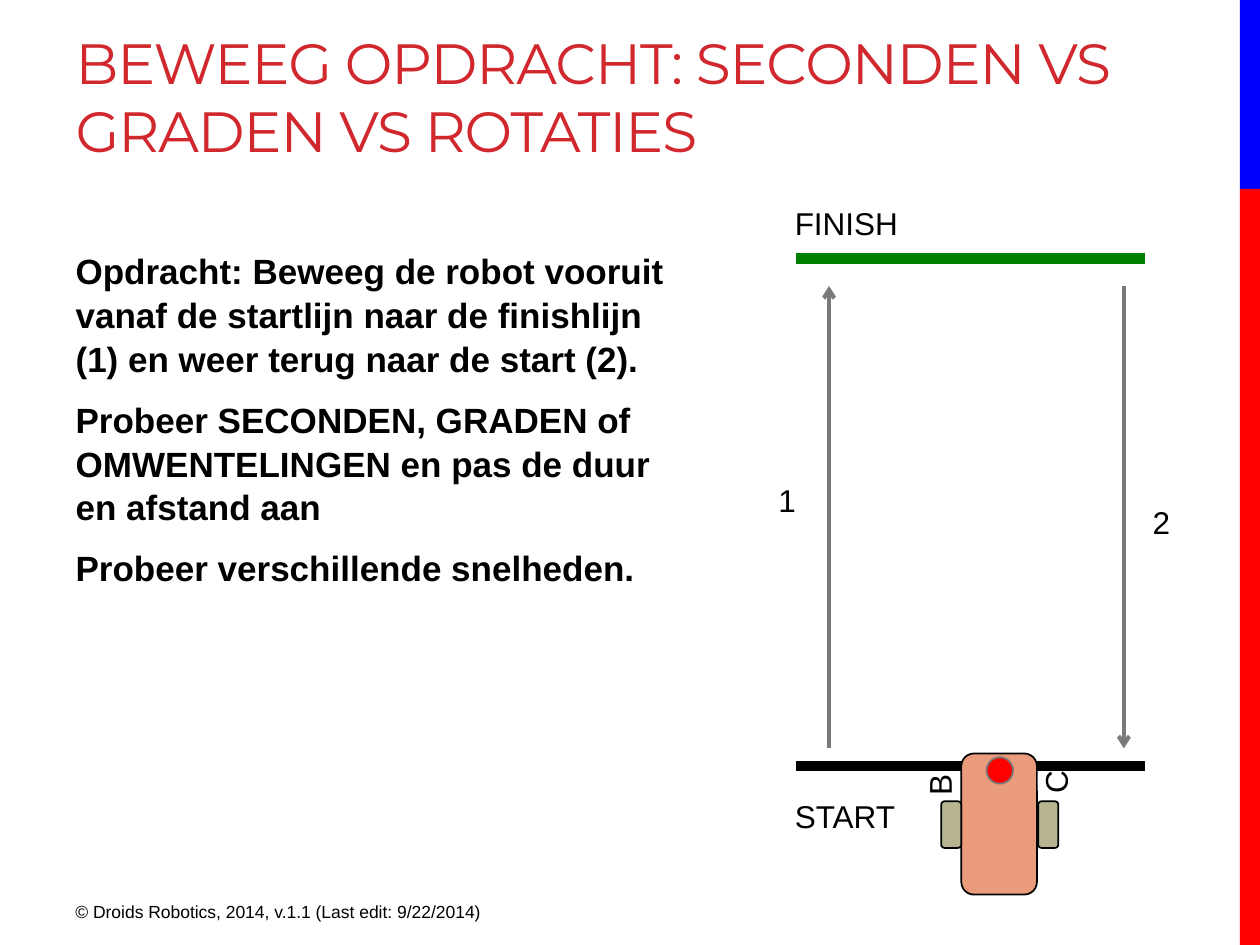
from lxml.etree import SubElement
from pptx import Presentation
from pptx.dml.color import RGBColor
from pptx.enum.shapes import MSO_CONNECTOR, MSO_SHAPE
from pptx.enum.text import MSO_ANCHOR, MSO_AUTO_SIZE, PP_ALIGN
from pptx.oxml.ns import qn
from pptx.util import Inches, Pt

BLACK = RGBColor(0x00, 0x00, 0x00)
BLUE = RGBColor(0x00, 0x00, 0xFF)
RED = RGBColor(0xFF, 0x00, 0x00)
GREEN = RGBColor(0x00, 0x80, 0x00)
TITLE_RED = RGBColor(0xD1, 0x28, 0x2E)
ARROW_GRAY = RGBColor(0x7A, 0x7A, 0x7A)
SENSOR_GRAY = RGBColor(0x77, 0x77, 0x77)
ROBOT_ORANGE = RGBColor(0xEA, 0x9B, 0x7C)
WHEEL_OLIVE = RGBColor(0xB6, 0xB5, 0x90)

TITLE = "BEWEEG OPDRACHT: SECONDEN VS GRADEN VS ROTATIES"
ASSIGNMENT = [
    "Opdracht: Beweeg de robot vooruit vanaf de startlijn naar de finishlijn (1) en weer terug naar de start (2).",
    "Probeer SECONDEN, GRADEN of OMWENTELINGEN en pas de duur en afstand aan",
    "Probeer verschillende snelheden.",
]
COPYRIGHT = "© Droids Robotics, 2014, v.1.1 (Last edit: 9/22/2014)"


class SlideBuilder:
    title_font = "Montserrat"
    text_font = "Arial"

    def __init__(self, slide):
        self.slide = slide
        self.shapes = slide.shapes

    def style(self, para, size, color=BLACK, name=text_font, bold=False):
        para.font.size = Pt(size)
        para.font.name = name
        para.font.bold = bold
        para.font.color.rgb = color

    def place(self, shape, left, top, width, height):
        shape.left, shape.top = Inches(left), Inches(top)
        shape.width, shape.height = Inches(width), Inches(height)
        shape.text_frame.vertical_anchor = MSO_ANCHOR.TOP
        shape.text_frame.auto_size = MSO_AUTO_SIZE.NONE

    def title(self, text, *area):
        holder = self.shapes.title
        self.place(holder, *area)
        para = holder.text_frame.paragraphs[0]
        para.alignment = PP_ALIGN.LEFT
        span = para.add_run()
        span.text = text
        span.font._element.set("spc", "-60")
        self.style(para, 32.4, TITLE_RED, self.title_font)

    def body(self, texts, *area):
        holder = self.slide.placeholders[1]
        self.place(holder, *area)
        frame = holder.text_frame
        for index, text in enumerate(texts):
            para = frame.add_paragraph() if index else frame.paragraphs[0]
            para.text = text
            para.line_spacing = 1.04
            para.space_before = Pt(4 if index else 0)
            para.space_after = Pt(6)
            properties = para._p.get_or_add_pPr()
            properties.set("marL", "0")
            properties.set("indent", "0")
            SubElement(properties, qn("a:buNone"))
            self.style(para, 20, bold=True)

    def label(self, text, left, top, width, height=0.4, size=18, rotation=0, wrap=True):
        box = self.shapes.add_textbox(Inches(left), Inches(top), Inches(width), Inches(height))
        box.rotation = rotation
        box.text_frame.word_wrap = wrap
        para = box.text_frame.paragraphs[0]
        para.text = text
        self.style(para, size)

    def shape(self, kind, left, top, width, height, fill, outline=None):
        item = self.shapes.add_shape(kind, Inches(left), Inches(top), Inches(width), Inches(height))
        item.shadow.inherit = False
        item.fill.solid()
        item.fill.fore_color.rgb = fill
        if outline is None:
            item.line.fill.background()
        else:
            item.line.color.rgb = outline
            item.line.width = Pt(1)

    def line(self, start, end, color, width, arrow=False):
        connector = self.shapes.add_connector(
            MSO_CONNECTOR.STRAIGHT, *(Inches(value) for value in start + end))
        connector.line.color.rgb = color
        connector.line.width = Pt(width)
        if arrow:
            SubElement(connector.line._get_or_add_ln(), qn("a:tailEnd"), type="arrow")
        SubElement(connector._element.spPr, qn("a:effectLst"))


def main():
    deck = Presentation()
    deck.slide_width, deck.slide_height = Inches(10), Inches(7.5)
    page = SlideBuilder(deck.slides.add_slide(deck.slide_layouts[1]))

    page.shape(MSO_SHAPE.RECTANGLE, 9.84, 0, 0.16, 1.5, BLUE)
    page.shape(MSO_SHAPE.RECTANGLE, 9.84, 1.5, 0.16, 6, RED)
    page.title(TITLE, 0.5, 0.17, 9.02, 1.5)
    page.body(ASSIGNMENT, 0.5, 1.92, 4.98, 4.78)

    for height, color in ((2.05, GREEN), (6.08, BLACK)):
        page.line((9.09, height), (6.32, height), color, 6)
    for x, start, end in ((6.58, 5.94, 2.27), (8.92, 2.27, 5.94)):
        page.line((x, start), (x, end), ARROW_GRAY, 2.25, arrow=True)

    page.label("1", 6.08, 3.77, 0.34)
    page.label("2", 9.05, 3.94, 0.34)
    page.label("FINISH", 6.21, 1.57, 1.03, wrap=False)
    page.label("START", 6.21, 6.28, 1, wrap=False)
    page.label(COPYRIGHT, 0.5, 7.1, 3.75, 0.31, size=10)

    page.shape(MSO_SHAPE.ROUNDED_RECTANGLE, 7.63, 5.98, 0.6, 1.12, ROBOT_ORANGE, BLACK)
    for left in (8.24, 7.47):
        page.shape(MSO_SHAPE.ROUNDED_RECTANGLE, left, 6.36, 0.16, 0.37, WHEEL_OLIVE, BLACK)
    page.shape(MSO_SHAPE.OVAL, 7.83, 6.01, 0.21, 0.21, RED, SENSOR_GRAY)
    for motor, left, top in (("B", 7.18, 6.04), ("C", 8.1, 6.02)):
        page.label(motor, left, top, 0.45, 0.3, rotation=270)

    deck.save("out.pptx")


if __name__ == "__main__":
    main()
